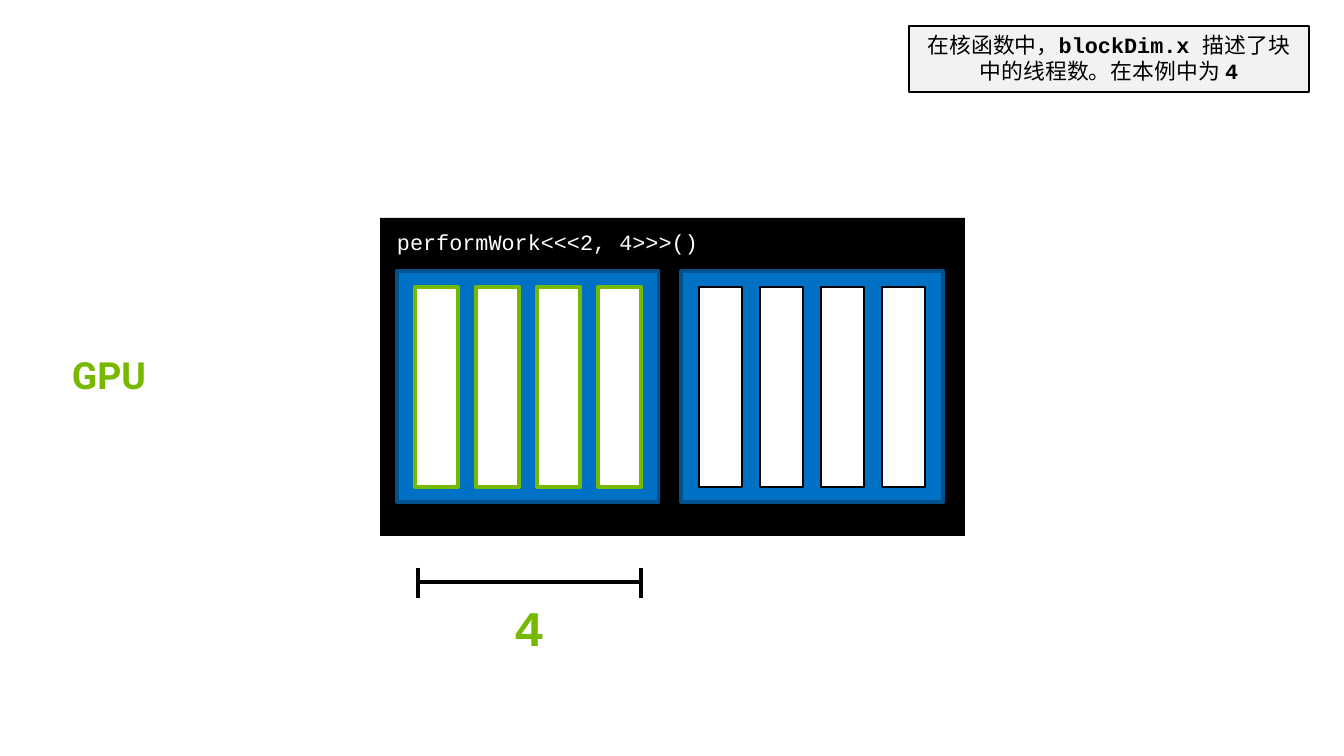
from lxml import etree
from pptx import Presentation, util as u
from pptx.dml.color import RGBColor
from pptx.enum import shapes, text
from pptx.oxml.ns import qn

PX = 914400 // 112
CODE, CHINESE, LABEL = "Courier New", "Noto Sans CJK SC", "Roboto"
BLACK, WHITE, GREEN = "000000", "FFFFFF", "76B900"
BLUE, DARK_BLUE, GREY = "0071C5", "00528F", "F2F2F2"


def px(*lengths):
    """Turn pixel lengths into EMU."""
    return [length * PX for length in lengths]


def paint(colour_format, colour):
    """Set a fill, line or font colour from a hex string."""
    colour_format.rgb = RGBColor.from_string(colour)


def rect(slide, box, fill, line=None, weight=1):
    """Add a rectangle with an optional outline."""
    shape = slide.shapes.add_shape(shapes.MSO_SHAPE.RECTANGLE, *px(*box))
    shape.shadow.inherit = False
    shape.fill.solid()
    paint(shape.fill.fore_color, fill)
    if line:
        paint(shape.line.color, line)
        shape.line.width = u.Pt(weight)
    else:
        shape.line.fill.background()
    return shape


def rule(slide, x1, y1, x2, y2):
    """Add a straight black line."""
    line = slide.shapes.add_connector(shapes.MSO_CONNECTOR.STRAIGHT, *px(x1, y1, x2, y2))
    paint(line.line.color, BLACK)
    line.line.width = u.Pt(2.25)
    etree.SubElement(line._element.spPr, qn("a:effectLst"))


def write(shape, runs, size, colour, align=text.PP_ALIGN.LEFT,
          anchor=text.MSO_ANCHOR.MIDDLE, wrap=True):
    """Fill a shape with one paragraph of (words, font, bold) runs."""
    frame = shape.text_frame
    frame.word_wrap = wrap
    frame.vertical_anchor = anchor
    paragraph = frame.paragraphs[0]
    paragraph.alignment = align
    for words, font, bold in runs:
        run = paragraph.add_run()
        run.text = words
        run.font.size, run.font.name, run.font.bold = u.Pt(size), font, bold
        paint(run.font.color, colour)
        etree.SubElement(run._r.get_or_add_rPr(), qn("a:ea")).set("typeface", font)
    return paragraph


def thread_block(slide, box, outline, weight):
    """Draw one block holding four threads."""
    x, y, width, height = box
    rect(slide, box, BLUE, DARK_BLUE, 2)
    for thread in range(4):
        rect(slide, (x + 18 + 61 * thread, y + 16, 43, height - 31), WHITE, outline, weight)


def kernel_grid(slide, box):
    """Draw the kernel launch with its two blocks."""
    x, y, width, height = box
    rect(slide, box, BLACK)
    launch = rect(slide, (x + 6, y + 5, 343, 38), BLACK)
    write(launch, [("performWork<<<2, 4>>>()", CODE, False)], 14, WHITE)
    for block, (outline, weight) in enumerate([(GREEN, 3), (BLACK, 0.75)]):
        thread_block(slide, (x + 17 + 284 * block, y + 53, 262, 231), outline, weight)


def thread_count(slide, box):
    """Draw the measuring bracket and the number below it."""
    x, y, width, height = box
    rule(slide, x, y + 14, x + width, y + 14)
    for end in (x, x + width):
        rule(slide, end, y, end, y + 30)
    count = slide.shapes.add_textbox(*px(x + width // 2 - 29, y + 23, 58, height - 23))
    write(count, [("4", CODE, True)], 32, GREEN, text.PP_ALIGN.CENTER, wrap=False)


def explanation(slide, box):
    """Draw the note on blockDim.x."""
    runs = [("在核函数中，", CHINESE, False), ("blockDim.x ", CODE, True),
            ("描述了块中的线程数。在本例中为 ", CHINESE, False), ("4", CODE, True)]
    write(rect(slide, box, GREY, BLACK, 0.75), runs, 14, BLACK,
          text.PP_ALIGN.CENTER, text.MSO_ANCHOR.TOP)


def device_label(slide, box):
    """Write the name of the device."""
    device = slide.shapes.add_textbox(*px(*box))
    paragraph = write(device, [("GPU", LABEL, True)], 24, GREEN,
                      anchor=text.MSO_ANCHOR.BOTTOM)
    paragraph.line_spacing = 0.9


def main():
    """Build and save the slide."""
    deck = Presentation()
    deck.slide_width, deck.slide_height = px(1344, 756)
    slide = deck.slides.add_slide(deck.slide_layouts[6])
    kernel_grid(slide, (380, 218, 585, 318))
    explanation(slide, (909, 26, 400, 66))
    device_label(slide, (61, 352, 109, 51))
    thread_count(slide, (418, 568, 223, 95))
    deck.save("out.pptx")


if __name__ == "__main__":
    main()
